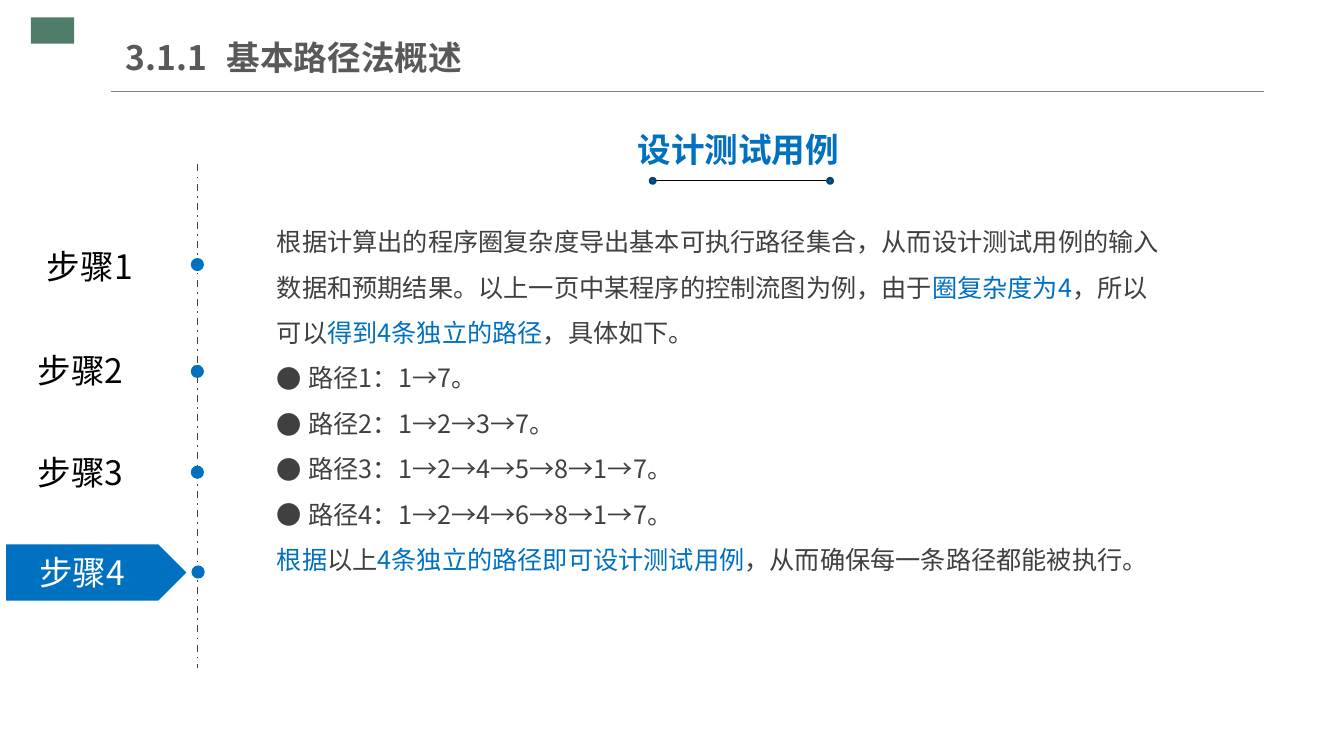
from lxml.etree import SubElement
from pptx import Presentation
from pptx.dml.color import RGBColor
from pptx.enum.dml import MSO_LINE_DASH_STYLE as DASH
from pptx.enum.shapes import MSO_CONNECTOR, MSO_SHAPE
from pptx.enum.text import MSO_ANCHOR, MSO_AUTO_SIZE, PP_ALIGN
from pptx.oxml.ns import qn
from pptx.util import Pt

FONT = "Noto Sans CJK SC"
BLUE, DARK, GREY = "0070C0", "404040", "595959"
AXIS_X = 141
STEPS = [
    ("步骤1", 0, 172.1, 128.2, "000000", AXIS_X, 189),
    ("步骤2", -6.5, 246.2, 128.2, "000000", AXIS_X, 265.3),
    ("步骤3", -6.5, 319, 128.2, "000000", AXIS_X, 337.3),
    ("步骤4", 0, 391, 117.4, "FFFFFF", AXIS_X + 0.5, 408.6),
]
INTRO = [
    ("根据计算出的程序圈复杂度导出基本可执行路径集合，从而设计测试用例的输入"
     "数据和预期结果。以上一页中某程序的控制流图为例，由于", DARK),
    ("圈复杂度为4", BLUE),
    ("，所以可以", DARK),
    ("得到4条独立的路径", BLUE),
    ("，具体如下。", DARK),
]
PATHS = ["路径1：1→7。", "路径2：1→2→3→7。",
         "路径3：1→2→4→5→8→1→7。", "路径4：1→2→4→6→8→1→7。"]
CLOSING = [
    ("根据", BLUE),
    ("以上", DARK),
    ("4条独立的路径即可设计测试用例", BLUE),
    ("，从而确保每一条路径都能被执行。", DARK),
]


def rgb(value):
    """Turn a hex string into a colour."""
    return RGBColor.from_string(value)


def style_run(run, size, color, bold=False):
    """Set size, colour and both the Latin and East Asian font of a run."""
    run.font.size = Pt(size)
    run.font.bold = bold
    run.font.color.rgb = rgb(color)
    run.font.name = FONT
    SubElement(run.font._element, qn("a:ea"), typeface=FONT)


def add_shape(slide, kind, left, top, width, height, fill, line=None):
    """Add a filled preset shape, outlined if a line colour is given."""
    shape = slide.shapes.add_shape(kind, Pt(left), Pt(top), Pt(width), Pt(height))
    shape.shadow.inherit = False
    shape.fill.solid()
    shape.fill.fore_color.rgb = rgb(fill)
    if line:
        shape.line.color.rgb = rgb(line)
        shape.line.width = Pt(2)
    else:
        shape.line.fill.background()


def add_dot(slide, x, y, size, fill, line=None):
    """Add a circle centred on a point."""
    add_shape(slide, MSO_SHAPE.OVAL, x - size / 2, y - size / 2, size, size, fill, line)


def add_line(slide, x1, y1, x2, y2, color, width, dash=None):
    """Add a straight line without shadow."""
    line = slide.shapes.add_connector(MSO_CONNECTOR.STRAIGHT, Pt(x1), Pt(y1), Pt(x2), Pt(y2))
    line.line.color.rgb = rgb(color)
    line.line.width = Pt(width)
    if dash:
        line.line.dash_style = dash
    SubElement(line._element.spPr, qn("a:effectLst"))


def add_frame(slide, left, top, width, height):
    """Add a wrapping text box and return its text frame."""
    shape = slide.shapes.add_textbox(Pt(left), Pt(top), Pt(width), Pt(height))
    shape.text_frame.word_wrap = True
    return shape.text_frame


def add_label(slide, text, left, top, width, color, bold=False):
    """Add a centred one-line label."""
    frame = add_frame(slide, left, top, width, 36)
    frame.auto_size = MSO_AUTO_SIZE.SHAPE_TO_FIT_TEXT
    frame.text = text
    frame.paragraphs[0].alignment = PP_ALIGN.CENTER
    style_run(frame.paragraphs[0].runs[0], 24, color, bold)


def add_title(slide, text):
    """Add the slide title with its rule and corner block."""
    add_shape(slide, MSO_SHAPE.RECTANGLE, 22, 12.5, 31, 18.7, "4F7D6A")
    add_line(slide, 79.2, 65.5, 903, 65.5, "808080", 0.75)
    frame = add_frame(slide, 90, 21, 306.7, 39.6)
    frame.vertical_anchor = MSO_ANCHOR.MIDDLE
    frame.margin_left = frame.margin_right = 0
    frame.margin_top = frame.margin_bottom = Pt(5)
    frame.text = text
    style_run(frame.paragraphs[0].runs[0], 24, GREY, True)


def add_timeline(slide):
    """Add the dashed axis with its steps, the last one highlighted."""
    add_line(slide, AXIS_X, 117.4, AXIS_X, 477.4, "414146", 1.25, DASH.DASH_DOT)
    add_shape(slide, MSO_SHAPE.PENTAGON, 4.3, 388.8, 128.9, 40.3, BLUE)
    for text, left, top, width, color, dot_x, dot_y in STEPS:
        add_label(slide, text, left, top, width, color)
        add_dot(slide, dot_x, dot_y, 9.4, BLUE)


def add_heading(slide, text):
    """Add the section heading and its underline with end dots."""
    add_label(slide, text, 438.5, 88.6, 177.8, BLUE, True)
    add_line(slide, 468, 129.2, 590.4, 129.2, "000000", 0.75)
    for x in (466.2, 592.9):
        add_dot(slide, x, 129.2, 3.6, GREY, "004578")


def add_bullet(paragraph):
    """Give a paragraph a round bullet and a hanging indent."""
    properties = paragraph._p.get_or_add_pPr()
    properties.set("marL", str(Pt(22.5)))
    properties.set("indent", str(-Pt(22.5)))
    SubElement(properties, qn("a:buFont"), typeface=FONT)
    SubElement(properties, qn("a:buChar"), char="●")


def add_body(slide):
    """Add the explanation with the list of paths."""
    frame = add_frame(slide, 190.8, 147.6, 648, 268.6)
    frame.auto_size = MSO_AUTO_SIZE.SHAPE_TO_FIT_TEXT
    rows = [(INTRO, False), *(([(text, DARK)], True) for text in PATHS), (CLOSING, False)]
    for index, (parts, bulleted) in enumerate(rows):
        paragraph = frame.add_paragraph() if index else frame.paragraphs[0]
        if bulleted:
            add_bullet(paragraph)
        paragraph.line_spacing = 1.5
        for text, color in parts:
            run = paragraph.add_run()
            run.text = text
            style_run(run, 18, color)


def main():
    """Build and save the slide."""
    presentation = Presentation()
    presentation.slide_width, presentation.slide_height = Pt(960), Pt(540)
    slide = presentation.slides.add_slide(presentation.slide_layouts[6])
    add_title(slide, "3.1.1\t基本路径法概述")
    add_timeline(slide)
    add_body(slide)
    add_heading(slide, "设计测试用例")
    presentation.save("out.pptx")


if __name__ == "__main__":
    main()
